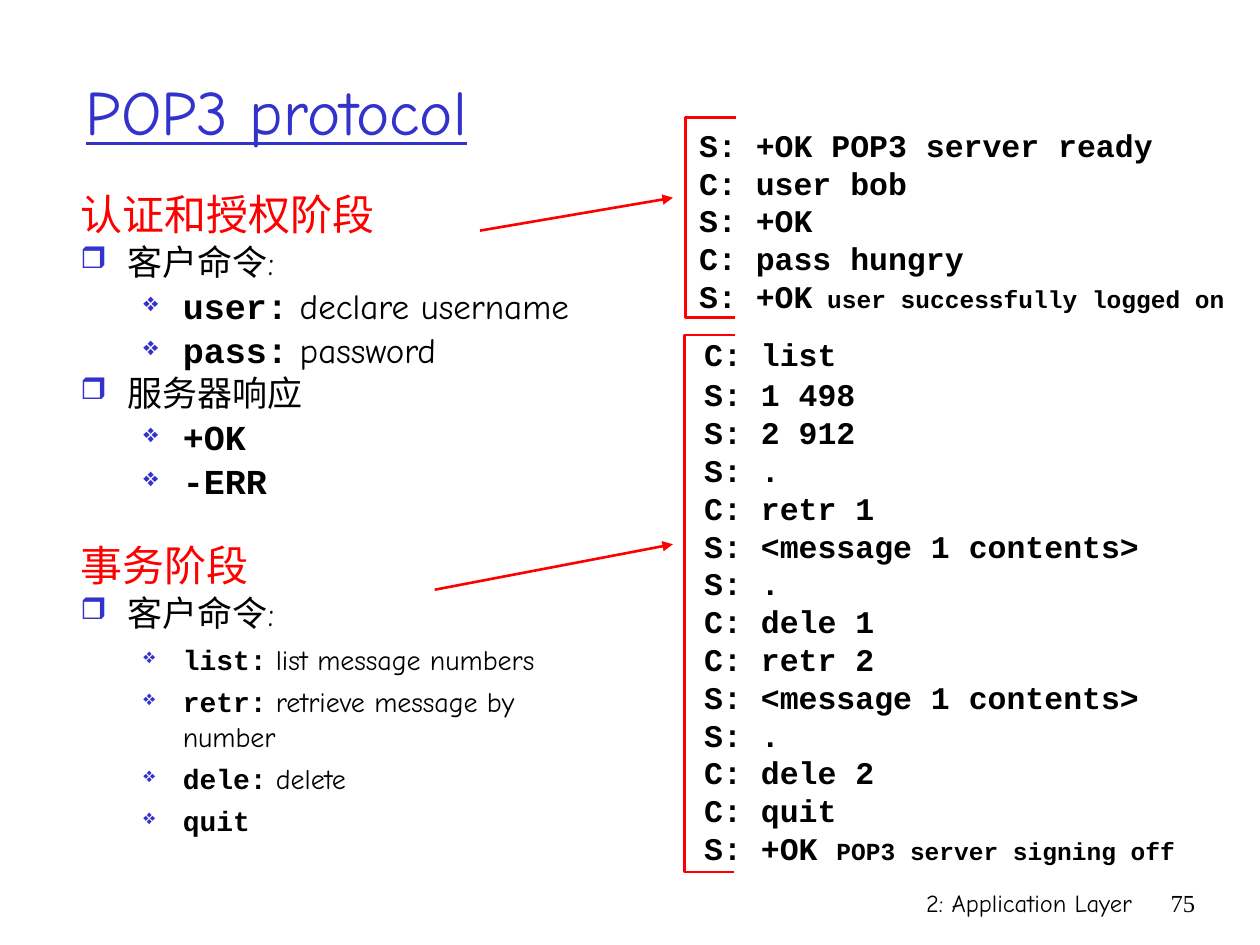
from dataclasses import dataclass

from lxml import etree
from pptx import Presentation
from pptx.dml.color import RGBColor
from pptx.enum import shapes, text
from pptx.oxml import ns
from pptx.util import Pt


@dataclass(frozen=True)
class Theme:
    blue: RGBColor = RGBColor(0x33, 0x33, 0xCC)
    red: RGBColor = RGBColor(0xFF, 0, 0)
    black: RGBColor = RGBColor(0, 0, 0)
    hand: str = "Comic Neue"
    code: str = "Courier New"
    serif: str = "Times New Roman"
    title: float = 36
    heading: float = 24
    body: float = 20
    transcript: float = 18
    detail: float = 16
    small: float = 14
    line: float = 1.5


THEME = Theme()

AUTHORIZATION = [
    ("客户命令:", [("user:", " declare username"), ("pass:", " password")]),
    ("服务器响应", [("+OK", ""), ("-ERR", "")]),
]
TRANSACTION = [
    ("客户命令:", [
        ("list:", " list message numbers"),
        ("retr:", " retrieve message by number"),
        ("dele:", " delete"),
        ("quit", ""),
    ]),
]
LOGIN = [
    ("S: +OK POP3 server ready", ""),
    ("C: user bob", ""),
    ("S: +OK", ""),
    ("C: pass hungry", ""),
    ("S: +OK", " user successfully logged on"),
]
MAILBOX = [
    ("C: list", ""),
    ("S: 1 498", ""),
    ("S: 2 912", ""),
    ("S: .", ""),
    ("C: retr 1", ""),
    ("S: <message 1 contents>", ""),
    ("S: .", ""),
    ("C: dele 1", ""),
    ("C: retr 2", ""),
    ("S: <message 1 contents>", ""),
    ("S: .", ""),
    ("C: dele 2", ""),
    ("C: quit", ""),
    ("S: +OK ", "POP3 server signing off"),
]


def add_box(page, left, top, width, height):
    box = page.shapes.add_textbox(Pt(left), Pt(top), Pt(width), Pt(height))
    box.text_frame.word_wrap = True
    return box.text_frame


def add_span(para, words, size, font=THEME.hand, color=THEME.black, bold=False):
    span = para.add_run()
    span.text = words
    span.font.size = Pt(size)
    span.font.name = font
    span.font.color.rgb = color
    span.font.bold = bold
    return span


def add_label(page, words, left, width, font):
    frame = add_box(page, left, 504, width, 36)
    para = frame.paragraphs[0]
    para.alignment = text.PP_ALIGN.RIGHT
    add_span(para, words, THEME.small, font)


def add_title(page, words):
    frame = add_box(page, 42, 18, 612, 90)
    frame.vertical_anchor = text.MSO_ANCHOR.MIDDLE
    span = add_span(frame.paragraphs[0], words, THEME.title, color=THEME.blue)
    span.font.underline = True


def add_bullet(frame, symbol, percent, margin, indent, before):
    para = frame.add_paragraph()
    props = para._p.get_or_add_pPr()
    props.set("marL", str(Pt(margin)))
    props.set("indent", str(Pt(-indent)))
    color = etree.SubElement(props, ns.qn("a:buClr"))
    etree.SubElement(color, ns.qn("a:srgbClr"), val=str(THEME.blue))
    etree.SubElement(props, ns.qn("a:buSzPct"), val=str(percent * 1000))
    etree.SubElement(props, ns.qn("a:buChar"), char=symbol)
    para.line_spacing = Pt(20)
    para.space_before = Pt(before)
    return para


def add_phase(page, heading, groups, top, height, command_size):
    frame = add_box(page, 38.9, top, 312.5, height)
    para = frame.paragraphs[0]
    para.line_spacing = Pt(20)
    add_span(para, heading, THEME.heading, color=THEME.red)
    for topic, commands in groups:
        para = add_bullet(frame, "❒", 85, 27, 27, THEME.body / 4)
        add_span(para, topic, THEME.body)
        for command, meaning in commands:
            para = add_bullet(frame, "❖", 75, 58.5, 22.5, command_size / 4)
            para.level = 1
            add_span(para, command, command_size, THEME.code, bold=True)
            if meaning:
                add_span(para, meaning, command_size)


def add_transcript(page, lines, left, top, width, first_gap=0):
    pitch = 21.6
    frame = add_box(page, left, top, width, len(lines) * pitch + first_gap + 7.2)
    for number, (command, remark) in enumerate(lines):
        para = frame.add_paragraph() if number else frame.paragraphs[0]
        para.line_spacing = Pt(pitch)
        if number == 1:
            para.space_before = Pt(first_gap)
        add_span(para, command, THEME.transcript, THEME.code, bold=True)
        if remark:
            add_span(para, remark, THEME.small, THEME.code, bold=True)


def style_line(line):
    line.color.rgb = THEME.red
    line.width = Pt(THEME.line)


def add_bracket(page, left, top, height):
    right, bottom = left + 29, top + height
    builder = page.shapes.build_freeform(Pt(right), Pt(top))
    corners = [(left, top), (left, bottom), (right - 0.7, bottom)]
    builder.add_line_segments([(Pt(x), Pt(y)) for x, y in corners], close=False)
    bracket = builder.convert_to_shape()
    bracket.shadow.inherit = False
    bracket.fill.background()
    style_line(bracket.line)


def add_arrow(page, start, end):
    arrow = page.shapes.add_connector(
        shapes.MSO_CONNECTOR.STRAIGHT, *map(Pt, start + end))
    style_line(arrow.line)
    etree.SubElement(arrow.line._get_or_add_ln(), ns.qn("a:tailEnd"), type="triangle")
    etree.SubElement(arrow._element.spPr, ns.qn("a:effectLst"))


def main():
    deck = Presentation()
    deck.slide_width, deck.slide_height = Pt(720), Pt(540)
    page = deck.slides.add_slide(deck.slide_layouts[6])
    add_label(page, "2: Application Layer", 426, 228, THEME.hand)
    add_label(page, "75", 654, 36, THEME.serif)
    add_title(page, "POP3 protocol")
    add_phase(page, "认证和授权阶段", AUTHORIZATION, 113, 200, THEME.body)
    add_phase(page, "事务阶段", TRANSACTION, 313.5, 165, THEME.detail)
    add_transcript(page, MAILBOX, 395.3, 188.1, 290, first_gap=1.3)
    add_transcript(page, LOGIN, 392.4, 68.4, 324)
    add_bracket(page, 391.7, 67, 114.5)
    add_arrow(page, (274.3, 131.8), (384.5, 113))
    add_bracket(page, 391, 191.5, 306.7)
    add_arrow(page, (248.4, 337), (384.5, 311))
    deck.save("out.pptx")


if __name__ == "__main__":
    main()
